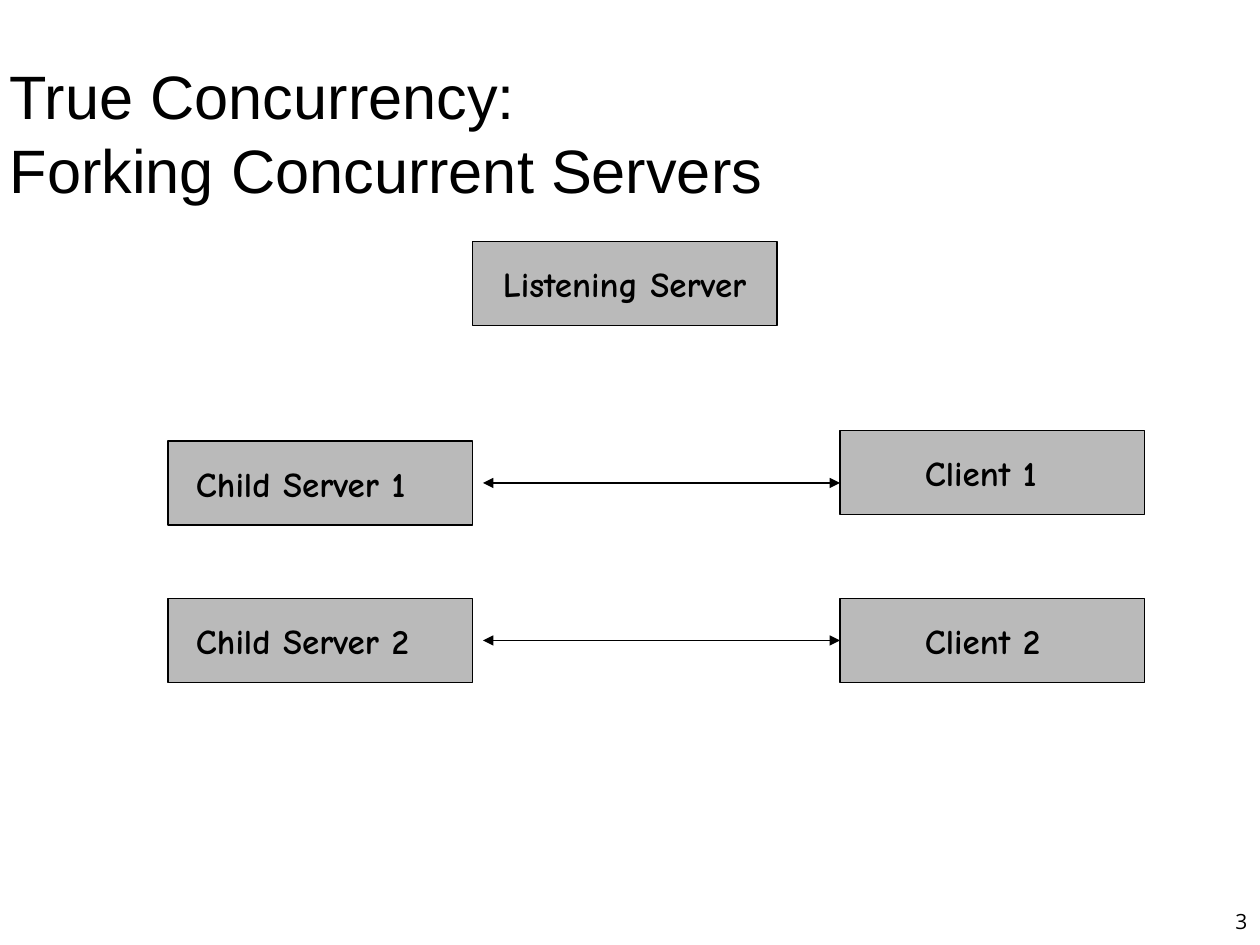
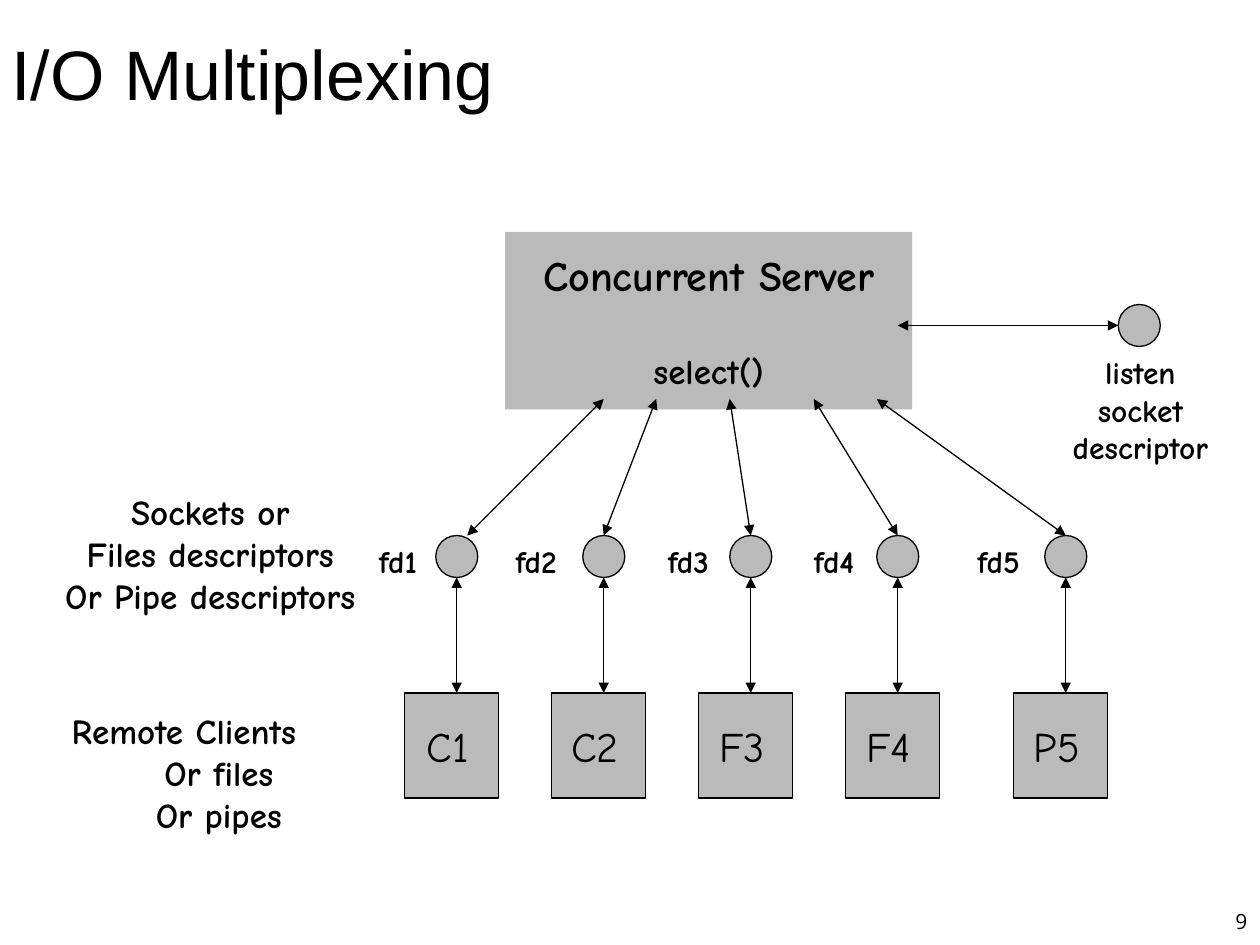
from dataclasses import dataclass

from lxml import etree
from pptx import Presentation
from pptx.dml.color import RGBColor
from pptx.enum.shapes import MSO_CONNECTOR, MSO_SHAPE
from pptx.enum.text import MSO_ANCHOR, MSO_AUTO_SIZE, PP_ALIGN
from pptx.oxml.ns import qn
from pptx.util import Pt

RECT, OVAL = MSO_SHAPE.RECTANGLE, MSO_SHAPE.OVAL
STRAIGHT = MSO_CONNECTOR.STRAIGHT
LEFT, MID, RIGHT = PP_ALIGN.LEFT, PP_ALIGN.CENTER, PP_ALIGN.RIGHT
TOP, CENTER, BOTTOM = MSO_ANCHOR.TOP, MSO_ANCHOR.MIDDLE, MSO_ANCHOR.BOTTOM
FIXED = MSO_AUTO_SIZE.NONE
TITLE_ONLY = 5


@dataclass(frozen=True)
class Theme:
    """Colours, fonts, type sizes and strokes of the deck."""
    ink: RGBColor = RGBColor(0, 0, 0)
    gray: RGBColor = RGBColor(0xBA, 0xBA, 0xBA)
    head: str = "Arial"
    body: str = "Comic Neue"
    foot: str = "Open Sans"
    large: int = 24
    normal: int = 20
    small: int = 18
    tiny: int = 12
    line: float = 0.75
    pad: float = 3.6


THEME = Theme()


def write(shape, text, size=THEME.normal, font=THEME.body, bold=True,
          align=MID, anchor=TOP, left=THEME.pad, right=THEME.pad):
    """Fill a shape with text, one paragraph a line; return paragraphs."""
    frame = shape.text_frame
    frame.word_wrap = True
    frame.auto_size = FIXED
    frame.vertical_anchor = anchor
    frame.margin_left, frame.margin_right = Pt(left), Pt(right)
    frame.margin_top = frame.margin_bottom = Pt(THEME.pad)
    for index, line in enumerate(text.split("\n")):
        para = frame.add_paragraph() if index else frame.paragraphs[0]
        para.alignment = align
        para.space_before = para.space_after = Pt(0)
        run = para.add_run()
        run.text = line
        run.font.name, run.font.size = font, Pt(size)
        run.font.bold = bold
        run.font.color.rgb = THEME.ink
    return frame.paragraphs


def label(slide, text, x, y, w, h, **style):
    """Add a text box and return its paragraphs."""
    box = slide.shapes.add_textbox(Pt(x), Pt(y), Pt(w), Pt(h))
    return write(box, text, **style)


def node(slide, kind, x, y, w, h, edge=True):
    """Add a gray shape, outlined unless edge is off."""
    shape = slide.shapes.add_shape(kind, Pt(x), Pt(y), Pt(w), Pt(h))
    shape.shadow.inherit = False
    shape.fill.solid()
    shape.fill.fore_color.rgb = THEME.gray
    if edge:
        shape.line.color.rgb = THEME.ink
        shape.line.width = Pt(THEME.line)
    else:
        shape.line.fill.background()
    return shape


def arrow(slide, x1, y1, x2, y2):
    """Draw a line with an arrowhead at both ends."""
    link = slide.shapes.add_connector(
        STRAIGHT, Pt(x1), Pt(y1), Pt(x2), Pt(y2))
    link.line.color.rgb = THEME.ink
    link.line.width = Pt(THEME.line)
    stroke = link.line._get_or_add_ln()
    for tag in ("a:headEnd", "a:tailEnd"):
        etree.SubElement(stroke, qn(tag), type="triangle")
    etree.SubElement(stroke.getparent(), qn("a:effectLst"))


def start(deck, title, number, size, x, y, h):
    """Add a slide with its title and page number."""
    slide = deck.slides.add_slide(deck.slide_layouts[TITLE_ONLY])
    head = slide.shapes.title
    head.left, head.top, head.width, head.height = (
        Pt(x), Pt(y), Pt(713.5), Pt(h))
    write(head, title, size=size, font=THEME.head, bold=False,
          align=LEFT, anchor=BOTTOM)
    label(slide, number, 689, 515.5, 27.5, 22, size=THEME.tiny,
          font=THEME.foot, bold=False, align=RIGHT, anchor=CENTER)
    return slide


def fork(deck):
    """Build the slide on forking servers."""
    slide = start(deck, "True Concurrency:\nForking Concurrent Servers",
                  "3", 35, 2, 23, 98)
    wide, high = 174, 48
    top = node(slide, RECT, 270, 138, wide, high)
    write(top, "Listening Server", anchor=CENTER)
    pairs = ((1, 252, 246, 276), (2, 342, 342, 366))
    for number, child, client, link in pairs:
        for name, x, y, left in (("Client", 480, client, 48.5),
                                 ("Child Server", 96, child, 16)):
            box = node(slide, RECT, x, y, wide, high)
            write(box, f"{name} {number}", align=LEFT, anchor=CENTER,
                  left=left)
        arrow(slide, 480, link, 276, link)


def mux(deck):
    """Build the slide on multiplexed input and output."""
    slide = start(deck, "I/O Multiplexing", "9", 40, 3, 0, 69)
    server = node(slide, RECT, 288.7, 132.5, 232.6, 101.5, edge=False)
    lines = write(server, "Concurrent Server\nselect()", anchor=CENTER)
    lines[0].runs[0].font.size = Pt(THEME.large)
    lines[1].space_before = Pt(28)

    dot, dot_top, box_top = 24, 306, 396
    # name, centre, arrow start and end, label left
    ports = (("C1", 261, 345, 267, 213), ("C2", 345, 375, 345, 291),
             ("F3", 429, 417, 429, 378), ("F4", 513, 465, 513, 461.5),
             ("P5", 609, 501, 609, 555))
    for index, (name, mid, near, far, side) in enumerate(ports, 1):
        node(slide, OVAL, mid - dot / 2, dot_top, dot, dot)
        arrow(slide, near, 228, far, dot_top)
        box = node(slide, RECT, mid - 30, box_top, 54, 60)
        write(box, name, size=THEME.large, bold=False, anchor=CENTER,
              left=0, right=4)
        arrow(slide, mid, dot_top + dot, mid, box_top)
        label(slide, f"fd{index}", side, dot_top, 39, 32.4,
              size=THEME.small, align=LEFT)

    node(slide, OVAL, 639, 174, dot, dot)
    arrow(slide, 513, 186, 639, 186)
    label(slide, "listen\nsocket\ndescriptor", 603.4, 198, 96.5, 82,
          size=THEME.small)
    label(slide, "Sockets or\nFiles descriptors\nOr Pipe descriptors",
          21.6, 276.5, 197.3, 91.4)
    notes = label(slide, "Remote Clients\nOr files\nOr pipes",
                  20.5, 401.8, 169.2, 91.4)
    for para in notes[1:]:
        para._p.get_or_add_pPr().set("marL", str(Pt(40)))


def main():
    """Build and save the deck."""
    deck = Presentation()
    deck.slide_width, deck.slide_height = Pt(720), Pt(540)
    fork(deck)
    mux(deck)
    deck.save("out.pptx")


main()
